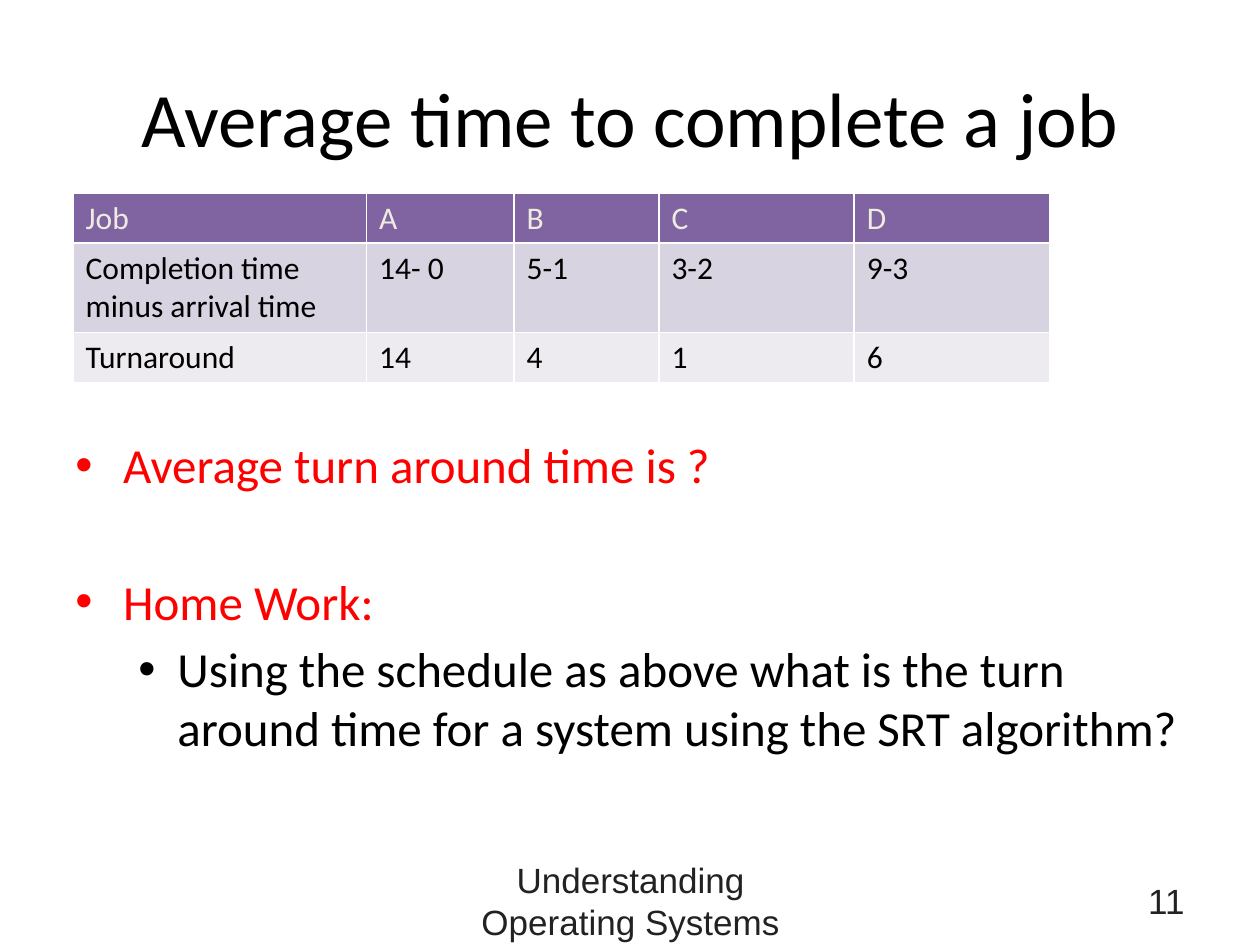
from lxml.etree import SubElement
from pptx import Presentation
from pptx.dml.color import RGBColor
from pptx.enum.text import MSO_ANCHOR, PP_ALIGN
from pptx.oxml.ns import qn
from pptx.util import Inches, Pt

RED = "FF0000"
BLACK = "000000"
FOOTER_GREY = "222222"
HEADER_PURPLE = "8064A2"
HEADER_TEXT = "EEECE1"
ROW_FILLS = [HEADER_PURPLE, "D8D3E0", "EDEAF0"]

TABLE_ROWS = [
    ["Job", "A", "B", "C", "D"],
    ["Completion time minus arrival time", "14- 0", "5-1", "3-2", "9-3"],
    ["Turnaround", "14", "4", "1", "6"],
]
COLUMN_WIDTHS = [2.33, 1.17, 1.15, 1.55, 1.55]
ROW_HEIGHTS = [0.4, 0.71, 0.4]

# text, level, colour, space before in points
BULLETS = [
    ("Average turn around time is ?", 0, RED, 0),
    ("Home Work:", 0, RED, 44.5),
    ("Using the schedule as above what is the turn around time "
     "for a system using the SRT algorithm?", 1, BLACK, 5),
]
BULLET_INDENTS = [(0.38, -0.38), (0.81, -0.31)]


def color(value):
    return RGBColor.from_string(value)


def write(para, text, font="Calibri", size=18, fill=BLACK, align=PP_ALIGN.LEFT):
    para.alignment = align
    span = para.add_run()
    span.text = text
    span.font.name = font
    span.font.size = Pt(size)
    span.font.bold = False
    span.font.color.rgb = color(fill)


def add_bullet(para, level):
    para.level = level
    margin, indent = BULLET_INDENTS[level]
    properties = para._p.get_or_add_pPr()
    properties.set("marL", str(Inches(margin)))
    properties.set("indent", str(Inches(indent)))
    SubElement(properties, qn("a:buFont"), typeface="Arial")
    SubElement(properties, qn("a:buChar"), char="•")


def add_borders(cell, width=1, line_color="FFFFFF"):
    properties = cell._tc.get_or_add_tcPr()
    for side in ("lnL", "lnR", "lnT", "lnB"):
        line = SubElement(properties, qn(f"a:{side}"), w=str(Pt(width)))
        fill = SubElement(line, qn("a:solidFill"))
        SubElement(fill, qn("a:srgbClr"), val=line_color)


class SlideBuilder:
    def __init__(self, deck):
        self.page = deck.slides.add_slide(deck.slide_layouts[5])

    def title(self, text, left, top, width, height):
        box = self.page.shapes.title
        box.left, box.top = Inches(left), Inches(top)
        box.width, box.height = Inches(width), Inches(height)
        box.text_frame.vertical_anchor = MSO_ANCHOR.MIDDLE
        write(box.text_frame.paragraphs[0], text, size=44, align=PP_ALIGN.CENTER)

    def text_frame(self, left, top, width, height, anchor=MSO_ANCHOR.TOP):
        box = self.page.shapes.add_textbox(
            Inches(left), Inches(top), Inches(width), Inches(height))
        frame = box.text_frame
        frame.word_wrap = True
        frame.vertical_anchor = anchor
        return frame

    def bullets(self, items, left, top, width, height, inset):
        frame = self.text_frame(left, top, width, height)
        frame.margin_top = Inches(inset)
        for index, (text, level, fill, gap) in enumerate(items):
            para = frame.add_paragraph() if index else frame.paragraphs[0]
            para.space_before = Pt(gap)
            add_bullet(para, level)
            write(para, text, size=28, fill=fill)

    def footer(self, text, left, width, align):
        frame = self.text_frame(left, 6.95, width, 0.4, MSO_ANCHOR.MIDDLE)
        write(frame.paragraphs[0], text, font="Arial", size=20,
              fill=FOOTER_GREY, align=align)

    def table(self, rows, left, top):
        table = self.page.shapes.add_table(
            len(rows), len(COLUMN_WIDTHS), Inches(left), Inches(top),
            Inches(sum(COLUMN_WIDTHS)), Inches(sum(ROW_HEIGHTS))).table
        for column, width in zip(table.columns, COLUMN_WIDTHS):
            column.width = Inches(width)
        for row, height, fill, texts in zip(table.rows, ROW_HEIGHTS, ROW_FILLS, rows):
            row.height = Inches(height)
            text_color = HEADER_TEXT if fill == HEADER_PURPLE else BLACK
            for cell, text in zip(row.cells, texts):
                add_borders(cell)
                cell.fill.solid()
                cell.fill.fore_color.rgb = color(fill)
                write(cell.text_frame.paragraphs[0], text, fill=text_color)


def main():
    deck = Presentation()
    deck.slide_width, deck.slide_height = Inches(10), Inches(7.5)
    slide = SlideBuilder(deck)
    slide.title("Average time to complete a job", 0.5, 0.3, 9, 1.25)
    slide.bullets(BULLETS, 0.5, 1.75, 9, 4.95, inset=1.7)
    slide.footer("Understanding Operating Systems", 3.42, 3.17, PP_ALIGN.CENTER)
    slide.footer("11", 7.17, 2.33, PP_ALIGN.RIGHT)
    slide.table(TABLE_ROWS, 0.58, 1.53)
    deck.save("out.pptx")


if __name__ == "__main__":
    main()
